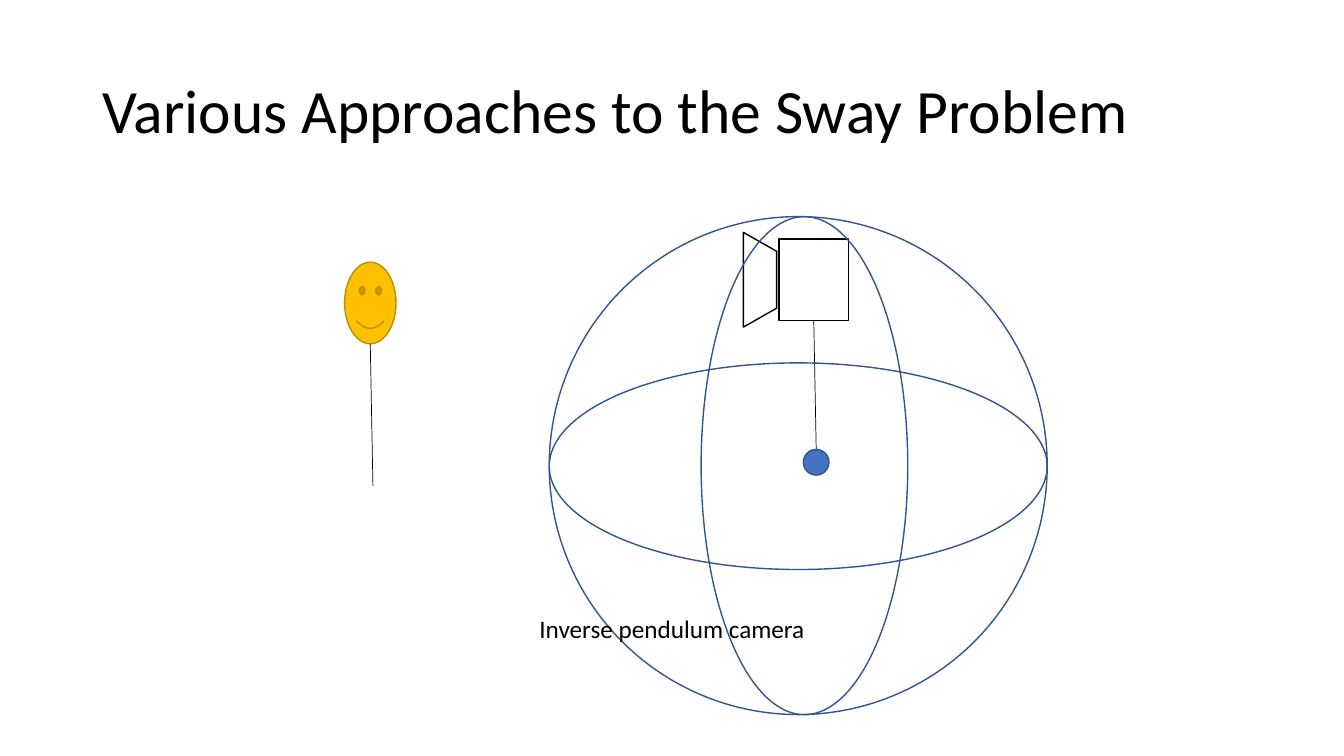
from lxml.etree import SubElement
from pptx import Presentation
from pptx.dml.color import RGBColor
from pptx.enum.shapes import MSO_CONNECTOR, MSO_SHAPE
from pptx.enum.text import MSO_ANCHOR, PP_ALIGN
from pptx.oxml.ns import qn
from pptx.util import Pt


def color(value):
    return RGBColor.from_string(value)


class SlideBuilder:
    font = "Calibri"
    black = "000000"
    white = "FFFFFF"
    blue = "4472C4"
    dark_blue = "325491"
    gold = "FFC000"
    dark_gold = "BD8E00"

    def __init__(self, slide):
        self.slide = slide

    def text(self, content, left, top, width, height, size,
             align=PP_ALIGN.LEFT, anchor=MSO_ANCHOR.TOP, spacing=1.0):
        shape = self.slide.shapes.add_textbox(Pt(left), Pt(top), Pt(width), Pt(height))
        frame = shape.text_frame
        frame.word_wrap = True
        frame.vertical_anchor = anchor
        frame.text = content
        paragraph = frame.paragraphs[0]
        paragraph.alignment = align
        paragraph.line_spacing = spacing
        for run in paragraph.runs:
            run.font.name = self.font
            run.font.size = Pt(size)
            run.font.color.rgb = color(self.black)

    def centered_shape(self, kind, center, width, height, line, fill=None, rotation=0):
        x, y = center
        shape = self.slide.shapes.add_shape(
            kind, Pt(x - width / 2), Pt(y - height / 2), Pt(width), Pt(height))
        shape.rotation = rotation
        shape.shadow.inherit = False
        shape.line.color.rgb = color(line)
        shape.line.width = Pt(1)
        if fill:
            shape.fill.solid()
            shape.fill.fore_color.rgb = color(fill)
        else:
            shape.fill.background()
        return shape

    def line(self, start, end):
        connector = self.slide.shapes.add_connector(
            MSO_CONNECTOR.STRAIGHT, *(Pt(value) for value in (*start, *end)))
        connector.line.color.rgb = color(self.black)
        connector.line.width = Pt(0.5)
        SubElement(connector._element.spPr, qn("a:effectLst"))
        return connector


def main():
    presentation = Presentation()
    presentation.slide_width = Pt(960)
    presentation.slide_height = Pt(540)
    builder = SlideBuilder(presentation.slides.add_slide(presentation.slide_layouts[6]))

    builder.text("Various Approaches to the Sway Problem", 66, 28.8, 828, 104.4, 44,
                 anchor=MSO_ANCHOR.MIDDLE, spacing=0.9)

    builder.centered_shape(MSO_SHAPE.SMILEY_FACE, (264.5, 216.4), 36.7, 58.3,
                           builder.dark_gold, builder.gold)
    builder.line((264.5, 245.5), (266.4, 347))

    builder.centered_shape(MSO_SHAPE.FLOWCHART_MANUAL_OPERATION, (542.9, 199.8), 67.7, 23.8,
                           builder.black, builder.white, 270)
    camera = builder.centered_shape(MSO_SHAPE.RECTANGLE, (581.3, 199.8), 49.7, 58.3,
                                    builder.black, builder.white)
    rod = builder.line((581.3, 229), (583.2, 330.5))
    rod.begin_connect(camera, 2)
    builder.centered_shape(MSO_SHAPE.OVAL, (583, 330.2), 18.3, 18.3,
                           builder.dark_blue, builder.blue)

    diameter, depth = 355.7, 147.6
    for center, height, rotation in [
        ((570.2, 332.6), diameter, 0),
        ((570.2, 333), depth, 0),
        ((574.6, 332.6), depth, 270),
    ]:
        builder.centered_shape(MSO_SHAPE.FLOWCHART_CONNECTOR, center, diameter, height,
                               builder.dark_blue, rotation=rotation)

    builder.text("Inverse pendulum camera", 240, 434.2, 480, 29, 18, align=PP_ALIGN.CENTER)

    presentation.save("out.pptx")


if __name__ == "__main__":
    main()
